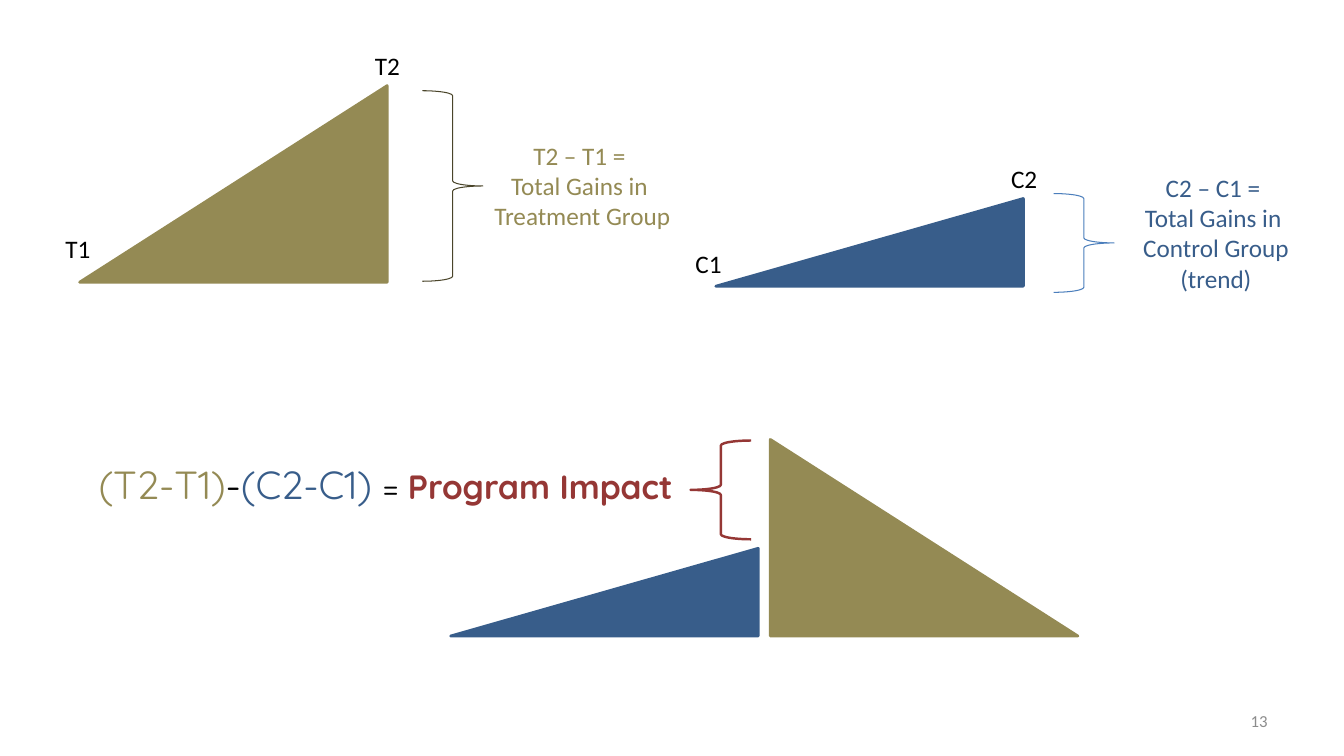
from dataclasses import dataclass

from pptx import Presentation
from pptx.dml.color import RGBColor
from pptx.enum import shapes, text
from pptx.util import Inches, Pt


@dataclass(frozen=True)
class Theme:
    treatment: str = "948A54"
    treatment_brace: str = "4A452A"
    control: str = "385D8A"
    control_brace: str = "4B7EBC"
    impact: str = "953735"
    ink: str = "000000"
    muted: str = "8C8C8C"
    body_font: str = "Calibri"
    formula_font: str = "Quicksand"
    number_size: int = 12
    body_size: int = 18
    impact_size: int = 24
    formula_size: int = 28


THEME = Theme()
GAIN_WIDTH = 3.05
TREATMENT_GAIN = 1.95
CONTROL_GAIN = 0.87
BRACE_WIDTH = 0.6
LABEL_HEIGHT = 0.4
CENTER = text.PP_ALIGN.CENTER


def add_outline(slide, preset, box, color, weight, flipped):
    outline = slide.shapes.add_shape(preset, *map(Inches, box))
    outline.shadow.inherit = False
    outline.line.color.rgb = RGBColor.from_string(color)
    outline.line.width = Pt(weight)
    if flipped:
        outline._element.spPr.xfrm.set("flipH", "1")
    return outline


def add_gain(slide, box, color, rising=True):
    """Right triangle whose height is the gain; a rising one peaks on the right."""
    gain = add_outline(slide, shapes.MSO_SHAPE.RIGHT_TRIANGLE, box, color, 2, rising)
    gain.fill.solid()
    gain.fill.fore_color.rgb = RGBColor.from_string(color)


def add_brace(slide, box, color, weight=0.75, facing_left=False):
    brace = add_outline(slide, shapes.MSO_SHAPE.RIGHT_BRACE, box, color, weight, facing_left)
    brace.fill.background()


def style(run, color, size=THEME.body_size, font=THEME.body_font, bold=False):
    run.font.name = font
    run.font.size = Pt(size)
    run.font.bold = bold
    run.font.color.rgb = RGBColor.from_string(color)


def add_frame(slide, box):
    frame = slide.shapes.add_textbox(*map(Inches, box)).text_frame
    frame.word_wrap = False
    frame.auto_size = text.MSO_AUTO_SIZE.SHAPE_TO_FIT_TEXT
    return frame


def add_label(slide, box, wording, color=THEME.ink, align=None):
    frame = add_frame(slide, box)
    frame.text = wording
    frame.paragraphs[0].alignment = align
    for run in frame.paragraphs[0].runs:
        style(run, color)


def add_group(slide, box, group, start_offset, brace_offset, brace_height,
              color, brace_color, caption_box, caption):
    """Triangle of one study group, with its two measurements, brace and caption."""
    left, top, width, height = box
    start_dx, start_dy = start_offset
    brace_dx, brace_dy = brace_offset
    caption_dx, caption_dy, caption_width, caption_height = caption_box
    add_gain(slide, box, color)
    add_label(slide, (left + width - 0.22, top - 0.4, 0.46, LABEL_HEIGHT), f"{group}2")
    add_label(slide, (left + start_dx, top + height + start_dy, 0.46, LABEL_HEIGHT), f"{group}1")
    add_brace(slide, (left + width + brace_dx, top + brace_dy, BRACE_WIDTH, brace_height),
              brace_color)
    add_label(slide, (left + width + caption_dx, top + caption_dy, caption_width, caption_height),
              caption, color, CENTER)


def add_formula(slide, box):
    formula = add_frame(slide, box).paragraphs[0]
    formula.alignment = CENTER
    terms = [
        ("(T2-T1)", THEME.treatment, THEME.formula_size, False),
        ("-", THEME.ink, THEME.formula_size, False),
        ("(C2-C1) ", THEME.control, THEME.formula_size, False),
        ("= ", THEME.ink, THEME.impact_size, False),
        ("Program Impact", THEME.impact, THEME.impact_size, True),
    ]
    for wording, color, size, bold in terms:
        term = formula.add_run()
        term.text = wording
        style(term, color, size, THEME.formula_font, bold)


def add_impact(slide, box):
    """Both gains back to back, with the difference braced and spelled out."""
    left, top, width, height = box
    base = top + height
    add_gain(slide, (left + width - GAIN_WIDTH, top, GAIN_WIDTH, TREATMENT_GAIN),
             THEME.treatment, rising=False)
    add_gain(slide, (left, base - CONTROL_GAIN, GAIN_WIDTH, CONTROL_GAIN), THEME.control)
    add_brace(slide, (left + 2.38, top + 0.01, BRACE_WIDTH, 0.98), THEME.impact, 1.75,
              facing_left=True)
    add_formula(slide, (left - 3.68, top + 0.16, 6.07, 0.57))


def add_slide_number(slide, box, number):
    frame = slide.shapes.add_textbox(*map(Inches, box)).text_frame
    frame.word_wrap = True
    frame.vertical_anchor = text.MSO_ANCHOR.MIDDLE
    frame.text = number
    frame.paragraphs[0].alignment = text.PP_ALIGN.RIGHT
    style(frame.paragraphs[0].runs[0], THEME.muted, THEME.number_size)


def main():
    deck = Presentation()
    deck.slide_width, deck.slide_height = Inches(13.33), Inches(7.5)
    slide = deck.slides.add_slide(deck.slide_layouts[6])
    add_group(slide, (0.79, 0.85, GAIN_WIDTH, TREATMENT_GAIN), "T",
              start_offset=(-0.24, -0.53), brace_offset=(0.35, 0.05), brace_height=1.89,
              color=THEME.treatment, brace_color=THEME.treatment_brace,
              caption_box=(0.95, 0.49, 1.97, 1.01),
              caption="T2 – T1 = \vTotal Gains in \vTreatment Group")
    add_group(slide, (7.1, 1.97, GAIN_WIDTH, CONTROL_GAIN), "C",
              start_offset=(-0.3, -0.43), brace_offset=(0.3, -0.05), brace_height=0.98,
              color=THEME.control, brace_color=THEME.control_brace,
              caption_box=(1.08, -0.31, 1.66, 1.31),
              caption="C2 – C1 = \vTotal Gains in \vControl Group\v(trend)")
    add_impact(slide, (4.47, 4.36, 6.22, TREATMENT_GAIN))
    add_slide_number(slide, (9.56, 6.95, 3.11, 0.4), "13")
    deck.save("out.pptx")


if __name__ == "__main__":
    main()
